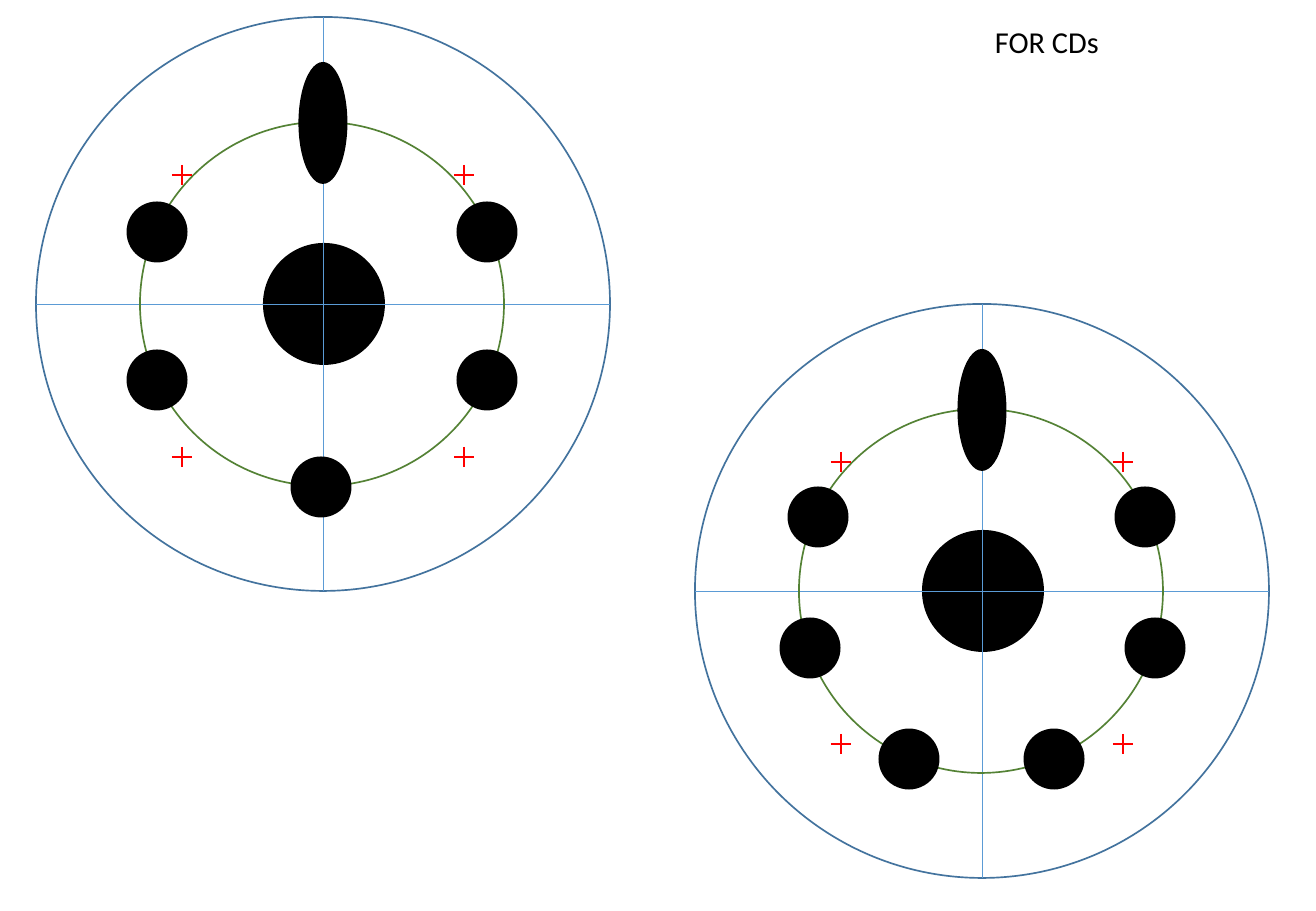
"""Draw two drilling templates for CDs, with five and six holes."""
from lxml import etree
from pptx import Presentation
from pptx import util as u
from pptx.dml.color import RGBColor
from pptx.enum import shapes, text
from pptx.oxml.ns import qn

EMU_PER_PIXEL = 914400 / 121.5
SLIDE_SIZE = (1316, 911)
COLORS = {"black": "000000", "rim": "43739E", "axis": "5B9BD5", "ring": "548235", "mark": "FF0000"}

TITLE = "FOR CDs"
TITLE_BOX = (983, 17, 130, 49)
DISCS = [
    {"center": (323, 304),
     "holes": [(164, 76), (164, -72), (-166, 76), (-166, -72), (-2, 183)]},
    {"center": (982, 591),
     "holes": [(163, -74), (-164, -74), (173, 57), (-172, 57), (72, 168), (-73, 168)]},
]
RIM_RADIUS = 287
RIM, RING, HUB, HOLE, SLOT = (574, 574), (364, 364), (122, 122), (61, 61), (49, 122)
RING_OFFSET, HUB_OFFSET, SLOT_OFFSET = (-1, 0), (1, 0), (0, -181)
MARK_OFFSETS = [(-141, -129), (141, -129), (141, 153), (-141, 153)]
MARK_ARM = 10


def px(length):
    return u.Emu(round(length * EMU_PER_PIXEL))


def rgb(color):
    return RGBColor.from_string(COLORS[color])


def shift(point, offset):
    return point[0] + offset[0], point[1] + offset[1]


def add_ellipse(center, size, fill=None, line=None):
    (x, y), (width, height) = center, size
    ellipse = slide.shapes.add_shape(
        shapes.MSO_SHAPE.OVAL, px(x - width / 2), px(y - height / 2), px(width), px(height))
    ellipse.shadow.inherit = False
    if fill:
        ellipse.fill.solid()
        ellipse.fill.fore_color.rgb = rgb(fill)
    else:
        ellipse.fill.background()
    if line:
        ellipse.line.color.rgb = rgb(line)
        ellipse.line.width = u.Pt(1)
    else:
        ellipse.line.fill.background()


def add_cross(parent, center, arm, color, width):
    for dx, dy in ((arm, 0), (0, arm)):
        start, end = shift(center, (-dx, -dy)), shift(center, (dx, dy))
        stroke = parent.add_connector(
            shapes.MSO_CONNECTOR.STRAIGHT, *(px(value) for value in start + end))
        stroke.line.color.rgb = rgb(color)
        stroke.line.width = u.Pt(width)
        etree.SubElement(stroke._element.spPr, qn("a:effectLst"))


def add_disc(center, holes):
    add_ellipse(shift(center, HUB_OFFSET), HUB, fill="black")
    add_ellipse(center, RIM, line="rim")
    add_cross(slide.shapes, center, RIM_RADIUS, "axis", 0.5)
    add_ellipse(shift(center, RING_OFFSET), RING, line="ring")
    add_ellipse(shift(center, SLOT_OFFSET), SLOT, fill="black")
    for offset in MARK_OFFSETS:
        mark = slide.shapes.add_group_shape()
        add_cross(mark.shapes, shift(center, offset), MARK_ARM, "mark", 0.75)
    for offset in holes:
        add_ellipse(shift(center, offset), HOLE, fill="black")


def add_title():
    title = slide.shapes.add_textbox(*(px(value) for value in TITLE_BOX))
    frame = title.text_frame
    frame.text = TITLE
    frame.word_wrap = False
    frame.auto_size = text.MSO_AUTO_SIZE.SHAPE_TO_FIT_TEXT
    font = frame.paragraphs[0].runs[0].font
    font.name, font.size = "Calibri", u.Pt(18)
    font.color.rgb = rgb("black")


deck = Presentation()
deck.slide_width, deck.slide_height = (px(side) for side in SLIDE_SIZE)
slide = deck.slides.add_slide(deck.slide_layouts[6])
add_title()
for disc in DISCS:
    add_disc(**disc)
deck.save("out.pptx")
